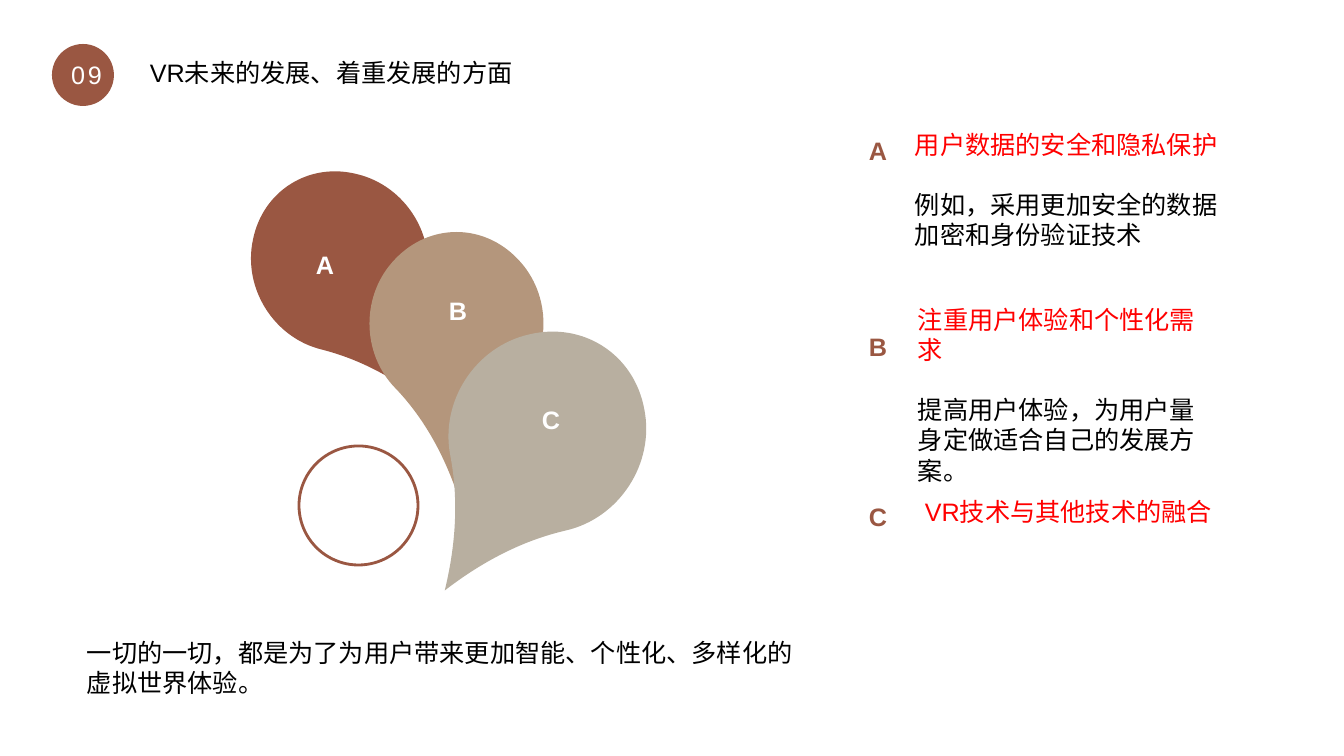
from lxml import etree
from pptx import Presentation, util as u
from pptx.dml.color import RGBColor
from pptx.enum import shapes, text
from pptx.oxml import ns

RUST = RGBColor(0x9A, 0x57, 0x42)
TAN = RGBColor(0xB4, 0x96, 0x7C)
STONE = RGBColor(0xB8, 0xAF, 0xA0)
WHITE = RGBColor(255, 255, 255)
BLACK = RGBColor(0, 0, 0)
RED = RGBColor(255, 0, 0)

SCALE = 12192000 / 1344
WIDE, HIGH = 172, 258
RIGHT = [(86, 0), (108, 0), (130, 9), (147, 27), (181, 62), (181, 120),
         (147, 155), (120, 183), (100, 218), (86, 258)]
LEFT = [(WIDE - x, y) for x, y in reversed(RIGHT[:-1])]
TEAR = RIGHT + LEFT


def px(size):
    return u.Emu(round(size * SCALE))


def curve(trail, kind, points):
    step = etree.SubElement(trail, ns.qn(kind))
    for x, y in points:
        etree.SubElement(step, ns.qn("a:pt"), x=str(x), y=str(y))


def write(par, words, color=BLACK, size=18, bold=False, track=0):
    run = par.add_run()
    run.text = words
    font = run.font
    font.name, font.size, font.bold = "Arial", u.Pt(size), bold
    font.color.rgb = color
    if track:
        font._element.set("spc", str(track * 100))


class Deck:
    def __init__(self):
        self.prs = Presentation()
        self.prs.slide_width, self.prs.slide_height = px(1344), px(756)
        self.slide = self.prs.slides.add_slide(self.prs.slide_layouts[6])
        self.shapes = self.slide.shapes

    def drop(self, left, top, width, color, turn=0):
        form = self.shapes.build_freeform(0, 0, scale=px(width) / WIDE)
        form.add_line_segments([(WIDE, 0), (WIDE, HIGH), (0, HIGH)], close=True)
        shape = form.convert_to_shape(px(left), px(top))
        trail = shape._element.xpath(".//a:path")[0]
        for step in list(trail):
            trail.remove(step)
        curve(trail, "a:moveTo", TEAR[:1])
        for i in range(1, len(TEAR), 3):
            curve(trail, "a:cubicBezTo", TEAR[i:i + 3])
        etree.SubElement(trail, ns.qn("a:close"))
        shape.rotation = turn
        self.paint(shape, color)

    def disc(self, left, top, size, fill=None, line=None):
        shape = self.shapes.add_shape(
            shapes.MSO_SHAPE.OVAL, px(left), px(top), px(size), px(size))
        self.paint(shape, fill, line)

    def paint(self, shape, fill=None, line=None):
        shape.shadow.inherit = False
        if fill is None:
            shape.fill.background()
        else:
            shape.fill.solid()
            shape.fill.fore_color.rgb = fill
        if line is None:
            shape.line.fill.background()
        else:
            shape.line.color.rgb = line
            shape.line.width = u.Pt(2)

    def label(self, left, top, width, height, *lines, wrap=True, center=False,
              lead=None, gap=21.5, **style):
        frame = self.shapes.add_textbox(
            px(left), px(top), px(width), px(height)).text_frame
        frame.word_wrap = wrap
        frame.auto_size = text.MSO_AUTO_SIZE.SHAPE_TO_FIT_TEXT
        for i, (words, color) in enumerate(lines):
            par = frame.add_paragraph() if i else frame.paragraphs[0]
            if i:
                par.space_before = u.Pt(gap)
            if lead:
                par.line_spacing = lead
            if center:
                par.alignment = text.PP_ALIGN.CENTER
            write(par, words, color=color, **style)


def main():
    deck = Deck()
    deck.drop(273, 164, 174, RUST, turn=328)
    deck.drop(370, 232, 173, TAN)
    deck.drop(427, 323, 194, STONE, turn=33)
    deck.disc(299, 446, 119, line=RUST)
    deck.disc(52, 44, 62, fill=RUST)
    deck.label(60, 54, 53, 40, ("09", WHITE), wrap=False, center=True, track=2)

    marks = [("A", 306, 244, 115, 279, 112), ("B", 439, 290, 311, 297, 102),
             ("C", 532, 399, 481, 279, 147)]
    for mark, left, top, side, width, height in marks:
        deck.label(left, top, 104, 40, (mark, WHITE), bold=True, track=2)
        deck.label(859, side, width, height, (mark, RUST), bold=True, track=2, lead=1.5)

    deck.label(140, 52, 768, 40, ("VR未来的发展、着重发展的方面", BLACK))
    deck.label(905, 124, 323, 132, ("用户数据的安全和隐私保护", RED),
               ("例如，采用更加安全的数据加密和身份验证技术", BLACK))
    deck.label(908, 299, 321, 194, ("注重用户体验和个性化需求", RED),
               ("提高用户体验，为用户量身定做适合自己的发展方案。", BLACK))
    deck.label(915, 491, 329, 40, ("VR技术与其他技术的融合", RED))
    deck.label(77, 632, 743, 72,
               ("一切的一切，都是为了为用户带来更加智能、个性化、多样化的虚拟世界体验。", BLACK))
    deck.prs.save("out.pptx")


if __name__ == "__main__":
    main()
